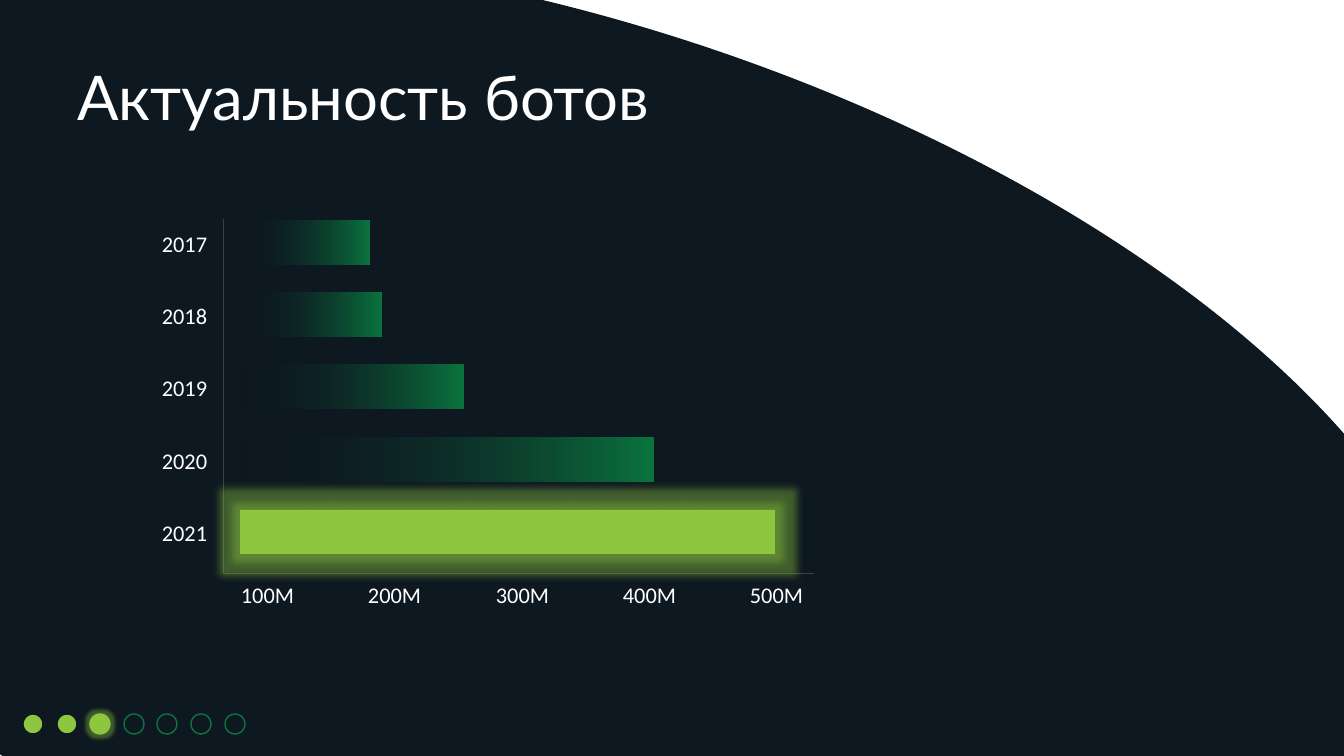
from dataclasses import dataclass
from lxml import etree
from pptx import Presentation
from pptx.dml.color import RGBColor
from pptx.enum.shapes import MSO_CONNECTOR, MSO_SHAPE
from pptx.enum.text import MSO_ANCHOR, MSO_AUTO_SIZE, PP_ALIGN
from pptx.oxml.ns import qn
from pptx.util import Emu, Pt

ELLIPSE, RECTANGLE = MSO_SHAPE.OVAL, MSO_SHAPE.RECTANGLE
STRAIGHT = MSO_CONNECTOR.STRAIGHT
LEFT, CENTER = PP_ALIGN.LEFT, PP_ALIGN.CENTER
MIDDLE = MSO_ANCHOR.MIDDLE
GROW, FIXED = MSO_AUTO_SIZE.SHAPE_TO_FIT_TEXT, MSO_AUTO_SIZE.NONE

EMU_PER_PX = 914400 / 100.8
NIGHT, LIME, GREEN, GREY, WHITE = "0E1821", "8DC63F", "0B753F", "404040", "FFFFFF"


@dataclass(frozen=True)
class Box:
    """A rectangle in pixels."""
    left: int
    top: int
    width: int
    height: int


@dataclass(frozen=True)
class YearBar:
    """One year of the bar diagram; length in pixels."""
    year: str
    length: int
    highlighted: bool = False


@dataclass(frozen=True)
class Dot:
    """One step of the progress row."""
    fill: str
    outline: str
    current: bool = False


YEAR_BARS = [
    YearBar("2017", 129),
    YearBar("2018", 141),
    YearBar("2019", 224),
    YearBar("2020", 413),
    YearBar("2021", 535, highlighted=True),
]
SCALE_LABELS = ["100М", "200М", "300М", "400М", "500М"]
DONE, CURRENT, AHEAD = Dot(LIME, NIGHT), Dot(LIME, LIME, True), Dot(NIGHT, GREEN)
PROGRESS = [DONE] * 2 + [CURRENT] + [AHEAD] * 4


def px(pixels: int) -> Emu:
    """Convert pixels to EMU."""
    return Emu(round(pixels * EMU_PER_PX))


def rgb(hex_color: str) -> RGBColor:
    """Turn a hex string into a colour."""
    return RGBColor.from_string(hex_color)


def frame(box: Box) -> tuple:
    """Give left, top, width and height in EMU."""
    return px(box.left), px(box.top), px(box.width), px(box.height)


def add_run(paragraph, text: str, size: int, font: str) -> None:
    """Append a white run."""
    run = paragraph.add_run()
    run.text = text
    run.font.size = Pt(size)
    run.font.name = font
    run.font.color.rgb = rgb(WHITE)


def add_figure(slide, kind, box: Box, fill: str, outline: str = ""):
    """Add a flat preset shape, with an optional 1 pt outline."""
    figure = slide.shapes.add_shape(kind, *frame(box))
    figure.shadow.inherit = False
    figure.fill.solid()
    figure.fill.fore_color.rgb = rgb(fill)
    if outline:
        figure.line.color.rgb = rgb(outline)
        figure.line.width = Pt(1)
    else:
        figure.line.fill.background()
    return figure


def add_glow(figure, radius: int) -> None:
    """Surround a shape with a lime glow; radius in points."""
    effects = figure.element.spPr.find(qn("a:effectLst"))
    glow = etree.SubElement(effects, qn("a:glow"), rad=str(Pt(radius)))
    color = etree.SubElement(glow, qn("a:srgbClr"), val=LIME)
    etree.SubElement(color, qn("a:alpha"), val="40000")


def fade_in(figure) -> None:
    """Fill a bar from transparent to green, left to right."""
    figure.fill.gradient()
    figure.fill.gradient_angle = 0
    start, end = figure.fill.gradient_stops
    start.color.rgb, start.position = rgb(NIGHT), 0
    end.color.rgb, end.position = rgb(GREEN), 1
    first_color = next(figure.element.spPr.iter(qn("a:srgbClr")))
    etree.SubElement(first_color, qn("a:alpha"), val="0")


def add_label(slide, text: str, left: int, top: int) -> None:
    """Add a centred axis label."""
    label = slide.shapes.add_textbox(*frame(Box(left, top, 77, 37)))
    label.text_frame.word_wrap = True
    label.text_frame.auto_size = GROW
    paragraph = label.text_frame.paragraphs[0]
    paragraph.alignment = CENTER
    add_run(paragraph, text, 16, "Calibri")


def add_axis(slide, x1: int, y1: int, x2: int, y2: int) -> None:
    """Add a thin grey axis line."""
    axis = slide.shapes.add_connector(STRAIGHT, px(x1), px(y1), px(x2), px(y2))
    axis.line.color.rgb = rgb(GREY)
    axis.line.width = Pt(0.5)
    etree.SubElement(axis.element.spPr, qn("a:effectLst"))


def add_heading(slide, text: str) -> None:
    """Place and format the title."""
    title = slide.shapes.title
    title.left, title.top, title.width, title.height = frame(Box(67, 28, 1159, 146))
    title.text_frame.auto_size = FIXED
    title.text_frame.vertical_anchor = MIDDLE
    paragraph = title.text_frame.paragraphs[0]
    paragraph.alignment = LEFT
    paragraph.line_spacing = 0.9
    add_run(paragraph, text, 44, "Lato")


def add_diagram(slide) -> None:
    """Draw axes, labels and year bars."""
    add_axis(slide, 223, 219, 223, 573)
    add_axis(slide, 814, 573, 223, 573)
    for i, label in enumerate(SCALE_LABELS):
        add_label(slide, label, 229 + round(127.3 * i), 576)
    for i, bar in enumerate(YEAR_BARS):
        offset = round(72.2 * i)
        add_label(slide, bar.year, 146, 225 + offset)
        strip = add_figure(slide, RECTANGLE, Box(240, 221 + offset, bar.length, 44), LIME)
        if bar.highlighted:
            add_glow(strip, 11)
        else:
            fade_in(strip)


def add_progress(slide) -> None:
    """Draw the row of progress dots."""
    for i, dot in enumerate(PROGRESS):
        box = Box(23 + round(33.6 * i), 714, 20, 20)
        circle = add_figure(slide, ELLIPSE, box, dot.fill, dot.outline)
        if dot.current:
            add_glow(circle, 5)


def main() -> None:
    """Build and save the slide."""
    deck = Presentation()
    deck.slide_width, deck.slide_height = px(1344), px(756)
    slide = deck.slides.add_slide(deck.slide_layouts.get_by_name("Title Only"))
    slide.background.fill.solid()
    slide.background.fill.fore_color.rgb = rgb(WHITE)
    backdrop = add_figure(slide, ELLIPSE, Box(-427, 17, 1933, 939), NIGHT)
    backdrop.rotation = 17.8
    slide.shapes.title.element.addprevious(backdrop.element)
    add_heading(slide, "Актуальность ботов")
    add_diagram(slide)
    add_progress(slide)
    deck.save("out.pptx")


main()
